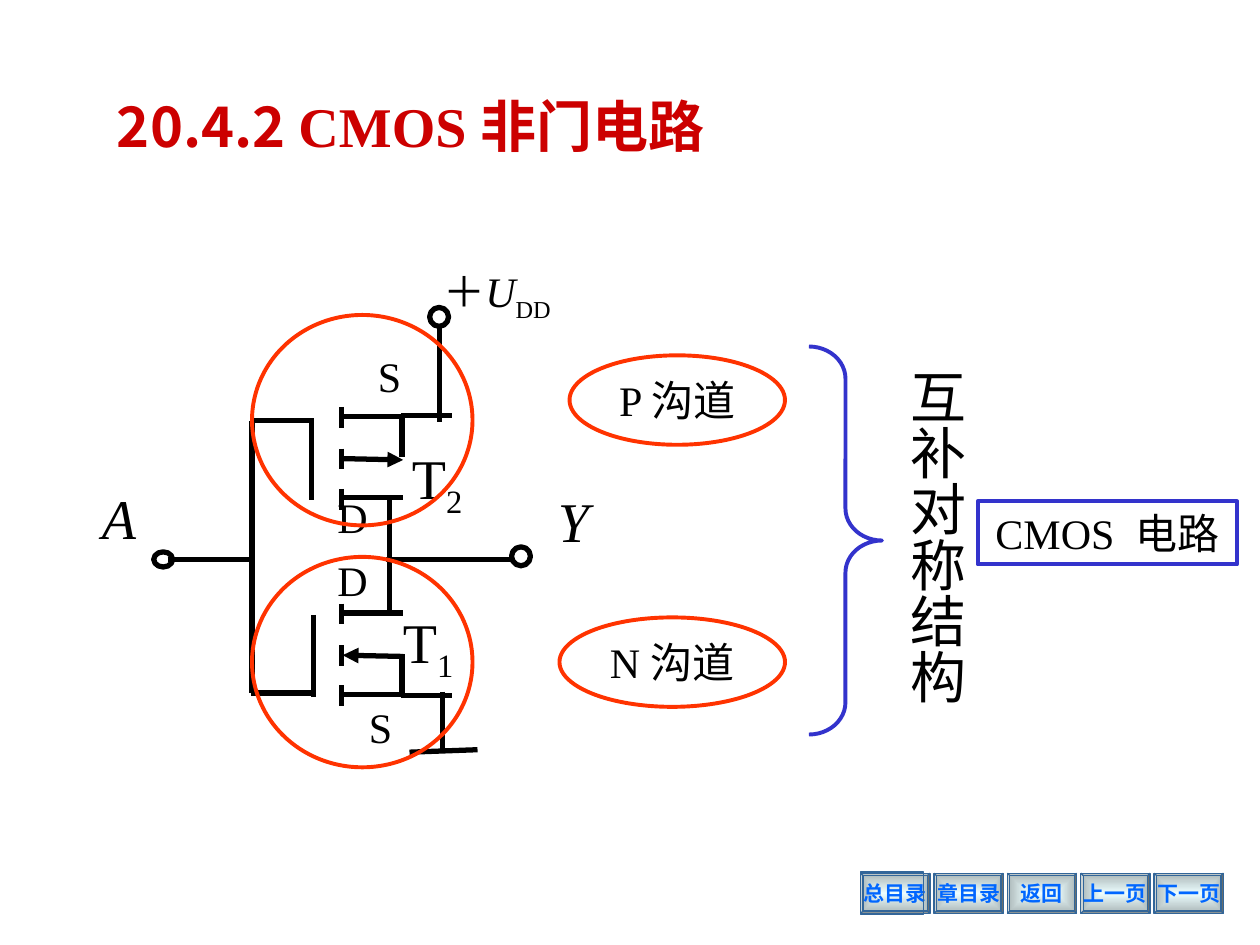
from collections import namedtuple

from lxml import etree
from pptx import Presentation
from pptx.dml.color import RGBColor
from pptx.enum.shapes import MSO_CONNECTOR, MSO_SHAPE
from pptx.enum.text import MSO_ANCHOR, PP_ALIGN
from pptx.oxml import parse_xml
from pptx.oxml.ns import nsdecls, qn
from pptx.util import Inches, Pt

BLACK = RGBColor(0x00, 0x00, 0x00)
RED = RGBColor(0xCC, 0x00, 0x00)
ORANGE = RGBColor(0xFF, 0x33, 0x00)
BLUE = RGBColor(0x33, 0x33, 0xCC)
STEEL = RGBColor(0x33, 0x66, 0x99)
LINK = RGBColor(0x00, 0x66, 0xFF)
PALE = RGBColor(0xEC, 0xFD, 0xFE)
GREY = RGBColor(0xAA, 0xB6, 0xB7)

SERIF, SANS = "Times New Roman", "Noto Sans CJK SC"
LEFT, CENTER = PP_ALIGN.LEFT, PP_ALIGN.CENTER
TOP, MIDDLE = MSO_ANCHOR.TOP, MSO_ANCHOR.MIDDLE
STRAIGHT = MSO_CONNECTOR.STRAIGHT
ELLIPSE, RECT = MSO_SHAPE.OVAL, MSO_SHAPE.RECTANGLE
BRACE, BEVEL = MSO_SHAPE.RIGHT_BRACE, MSO_SHAPE.BEVEL

COLS, ROWS = 100, 75
CELL = Inches(0.1)
Box = namedtuple("Box", "col row cols rows")


def within(box, col, row, cols=0, rows=0):
    """Return a box whose place is counted from the corner of another."""
    return Box(box.col + col, box.row + row, cols, rows)


def emu(box):
    """Turn a box of grid cells into lengths."""
    return [round(v * CELL) for v in box]


def write(sp, runs, size=24, color=BLACK, bold=False, align=LEFT, anchor=TOP, wrap=True):
    """Write one paragraph of (text, format) runs into a shape."""
    tf = sp.text_frame
    tf.word_wrap, tf.vertical_anchor = wrap, anchor
    p = tf.paragraphs[0]
    p.alignment = align
    for text, fmt in runs:
        r = p.add_run()
        r.text = text
        r.font.size, r.font.bold = Pt(size), bold
        r.font.italic = fmt.get("italic", False)
        r.font.name = fmt.get("font", SERIF)
        r.font.color.rgb = color
        rpr = r.font._element
        etree.SubElement(rpr, qn("a:ea")).set("typeface", SANS)
        for key in ("baseline", "spc"):
            if key in fmt:
                rpr.set(key, str(fmt[key]))
    return sp


def label(s, box, runs, **fmt):
    """Add a text box."""
    return write(s.shapes.add_textbox(*emu(box)), runs, **fmt)


def outline(s, kind, box, color, width):
    """Add an unfilled preset shape."""
    sp = s.shapes.add_shape(kind, *emu(box))
    sp.shadow.inherit = False
    sp.fill.background()
    sp.line.color.rgb, sp.line.width = color, Pt(width)
    return sp


def wire(s, box, x1, y1, x2, y2, arrow=False):
    """Add a black wire between two points of a box."""
    a, b = within(box, x1, y1), within(box, x2, y2)
    c = s.shapes.add_connector(STRAIGHT, *emu(a)[:2], *emu(b)[:2])
    c.line.color.rgb, c.line.width = BLACK, Pt(3)
    if arrow:
        etree.SubElement(c.line._get_or_add_ln(), qn("a:tailEnd")).set("type", "triangle")
    etree.SubElement(c._element.spPr, qn("a:effectLst"))


def title(s, box):
    """Place the heading."""
    runs = [("20.4.2 ", {"font": SANS}), ("CMOS 非", {}), ("门电路", {"font": SANS})]
    label(s, box, runs, size=32, color=RED, bold=True)


def transistor(s, box, p_type):
    """Draw one MOS transistor with its gate, body and source leads."""
    source = 0.7 if p_type else 7.3
    gate = 4.8 if p_type else 5
    body = [7.3, 4.1, 12.1, 4.2] if p_type else [12.1, 4.2, 7.3, 4.1]
    for row in (0, 3.3, 6.5):
        wire(s, box, 7.2, row, 7.2, row + 1.65)
    for row in (0.75, 7.2):
        wire(s, box, 7.3, row, 12.1, row)
    wire(s, box, *body, arrow=True)
    wire(s, box, gate, 0.9, gate, 7.4)
    gate_row = 1.1 if p_type else 7.1
    wire(s, box, 0, gate_row, gate, gate_row)
    wire(s, box, 11.9, source, 16, source)
    wire(s, box, 12, 4, 12, source)


def circuit(s, box):
    """Draw the inverter circuit."""
    transistor(s, within(box, 12.8, 11.7), True)
    transistor(s, within(box, 12.8, 27.3), False)
    for line in ((12.9, 12.8, 12.9, 34.4), (6.2, 23.8, 12.9, 23.8),
                 (23.8, 18.9, 23.8, 28.2), (23.5, 23.8, 33.7, 23.8),
                 (27.8, 5.4, 27.8, 12.9), (28, 34.3, 28, 38.9),
                 (25.4, 39.1, 30.8, 38.9)):
        wire(s, box, *line)
    for node in ((5.1, 23.2, 1.5, 1.2), (27, 3.8, 1.5, 1.5), (33.5, 22.8, 1.5, 1.5)):
        outline(s, ELLIPSE, within(box, *node), BLACK, 3)
    supply = [("＋", {}), ("U", {"italic": True}), ("DD", {"baseline": -25000})]
    label(s, within(box, 27.1, 0, 15, 5.6), supply)
    for name, col, row in (("S", 21.9, 6.7), ("D", 18.7, 17.9),
                           ("D", 18.7, 22.9), ("S", 21.2, 34.6)):
        label(s, within(box, col, row, 4.5, 5), [(name, {})])
    for digit, col, row in (("2", 24.6, 14.1), ("1", 23.9, 27.1)):
        label(s, within(box, col, row, 8, 7.1),
              [("T", {}), (digit, {"baseline": -25000})], size=32)
    for name, col, row in (("A", 0, 17.3), ("Y", 36.2, 17.5)):
        label(s, within(box, col, row, 6.5, 6.4), [(name, {"italic": True})], size=32)


def channel(s, box, letter, col, row, cols):
    """Ring a transistor and name its channel type."""
    outline(s, ELLIPSE, box, ORANGE, 2.25)
    sp = outline(s, ELLIPSE, within(box, col, row, cols, 7.1), ORANGE, 2.25)
    write(sp, [(letter + " ", {}), ("沟道", {"font": SANS})],
          align=CENTER, anchor=MIDDLE, wrap=False)


def conclusion(s, box):
    """Place the brace, the vertical caption and the framed result."""
    brace = outline(s, BRACE, within(box, 0, 0, 5.8, box.rows), BLUE, 2.25)
    brace.adjustments[0] = 0.44
    caption = label(s, within(box, 6, 0.8, 7.3, 29.2), [("互补对称结构", {})],
                    size=32, align=CENTER)
    tf = caption.text_frame
    tf.margin_left = tf.margin_right = Inches(0.05)
    tf.margin_top = tf.margin_bottom = Inches(0.1)
    tf._txBody.bodyPr.set("vert", "eaVert")
    frame = outline(s, RECT, within(box, 13.4, 12.3, 20.6, 5), BLUE, 2.25)
    write(frame, [("CMOS", {}), (" ", {"spc": 600}), ("电路", {})],
          align=CENTER, anchor=MIDDLE, wrap=False)


def navigation(s, box):
    """Place the row of bevelled buttons at an equal pitch."""
    names = ("总目录", "章目录", "返回", "上一页", "下一页")
    width = 5.5
    pitch = (box.cols - width) / (len(names) - 1)
    for i, name in enumerate(names):
        sp = outline(s, BEVEL, within(box, i * pitch, 0, width, box.rows), STEEL, 0.75)
        sp.adjustments[0] = 0.06
        spPr = sp._element.spPr
        spPr.replace(spPr.find(qn("a:noFill")), parse_xml(
            f'<a:gradFill {nsdecls("a")} rotWithShape="1"><a:gsLst>'
            f'<a:gs pos="0"><a:srgbClr val="{PALE}"/></a:gs>'
            f'<a:gs pos="100000"><a:srgbClr val="{GREY}"/></a:gs></a:gsLst>'
            '<a:path path="rect"><a:fillToRect l="50000" t="50000" r="50000" b="50000"/>'
            '</a:path></a:gradFill>'))
        write(sp, [(name, {})], size=12, color=LINK, bold=True,
              align=CENTER, anchor=MIDDLE, wrap=False)
    outline(s, RECT, within(box, 0, -0.1, 5, 3.4), STEEL, 0.75)


def main():
    """Build the slide."""
    prs = Presentation()
    prs.slide_width, prs.slide_height = COLS * CELL, ROWS * CELL
    s = prs.slides.add_slide(prs.slide_layouts[6])
    navigation(s, Box(68.3, 69.3, 28.8, 3.2))
    title(s, Box(8.3, 6.8, 74.2, 6.4))
    circuit(s, Box(7.1, 20.6, 42.7, 39.1))
    channel(s, Box(20, 44.2, 17.5, 16.7), "N", 24.4, 4.8, 17.9)
    channel(s, Box(20, 25, 17.5, 16.7), "P", 25.2, 3.2, 17.1)
    conclusion(s, Box(64.2, 27.5, 34, 30.8))
    prs.save("out.pptx")


if __name__ == "__main__":
    main()
